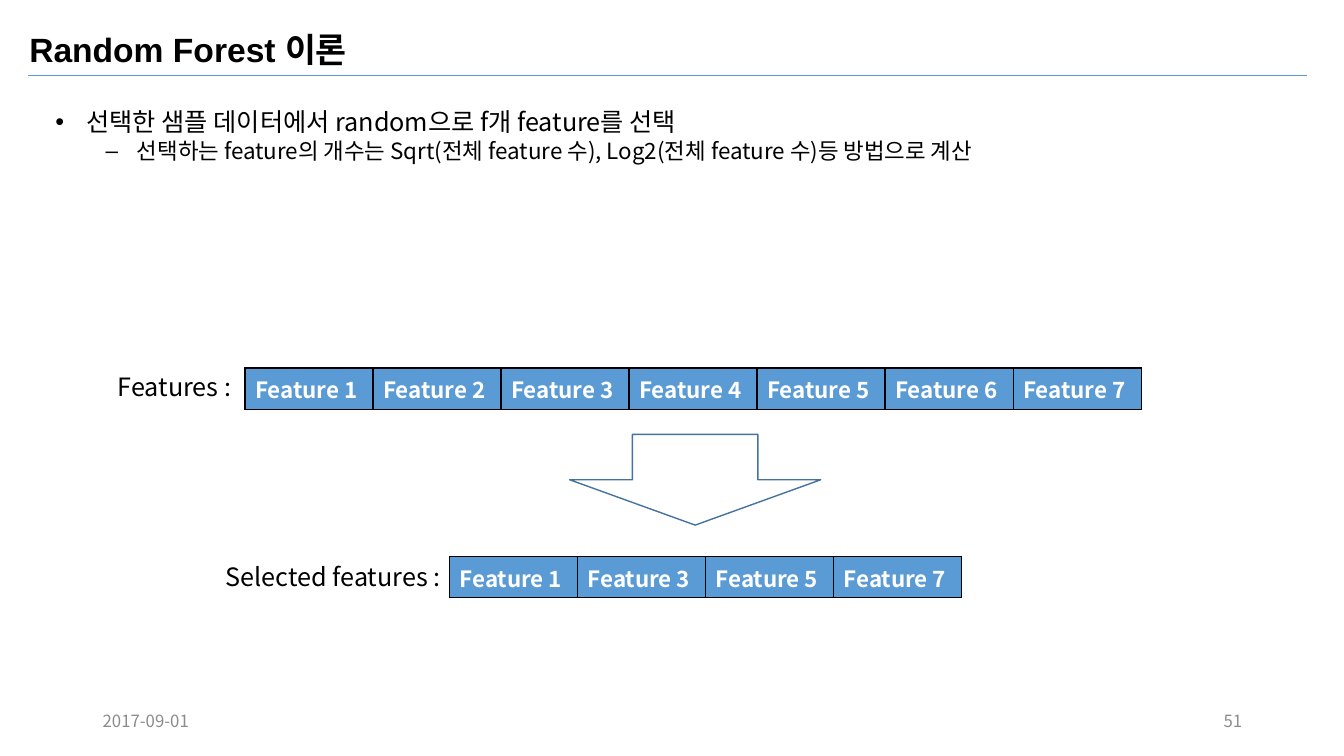
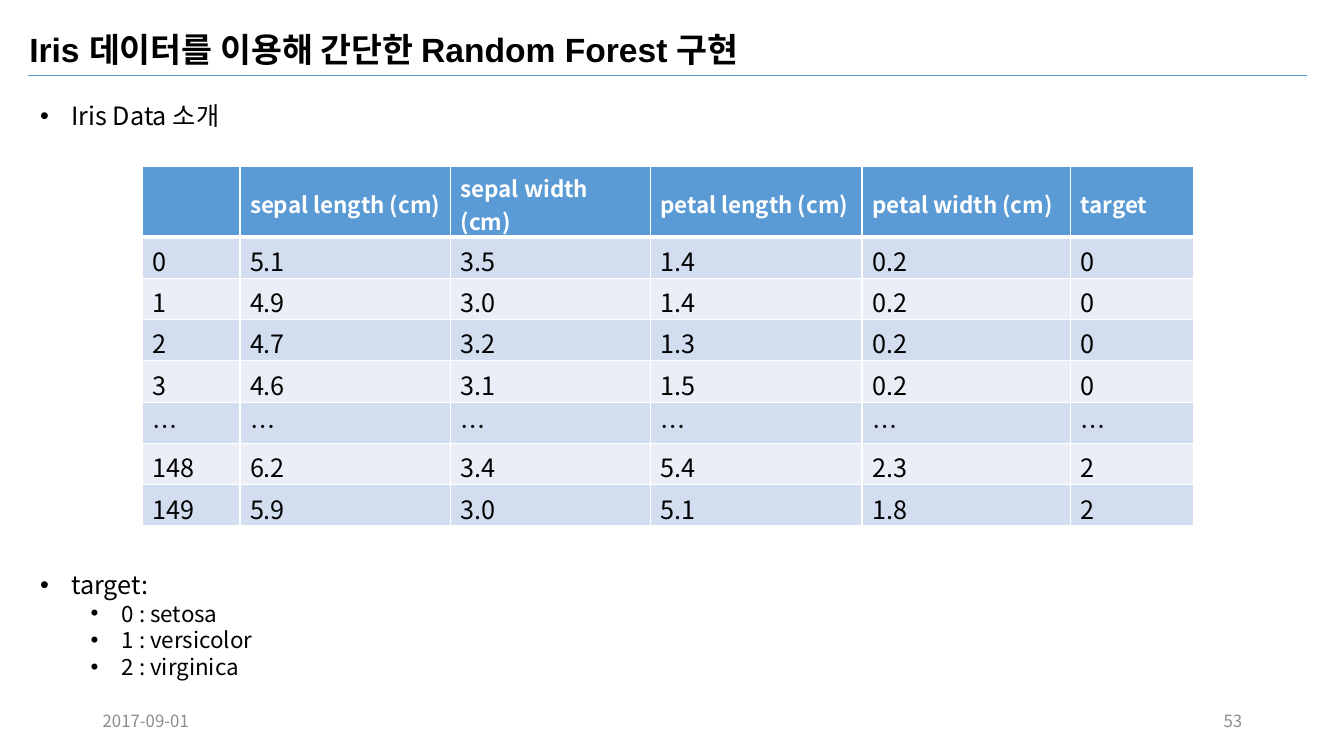
from pptx import Presentation
from pptx.dml.color import RGBColor
from pptx.enum.shapes import MSO_CONNECTOR, MSO_SHAPE
from pptx.enum.text import MSO_ANCHOR, MSO_AUTO_SIZE, PP_ALIGN
from pptx.oxml.ns import qn
from pptx.util import Pt
from lxml import etree

PX = 9144
BLACK = RGBColor(0x00, 0x00, 0x00)
WHITE = RGBColor(0xFF, 0xFF, 0xFF)
GREY = RGBColor(0x8C, 0x8C, 0x8C)
BLUE = RGBColor(0x5B, 0x9B, 0xD5)
NAVY = RGBColor(0x43, 0x73, 0x9E)
BANDS = (RGBColor(0xD2, 0xDE, 0xEF), RGBColor(0xEA, 0xEF, 0xF7))
HEAD = "Arial"
BODY = "Noto Sans CJK KR"
LEFT, RIGHT = PP_ALIGN.LEFT, PP_ALIGN.RIGHT
TOP, MIDDLE = MSO_ANCHOR.TOP, MSO_ANCHOR.MIDDLE
FIXED = MSO_AUTO_SIZE.NONE
ARROW = MSO_SHAPE.DOWN_ARROW
LINE = MSO_CONNECTOR.STRAIGHT
DATE = "2017-09-01"
CELL = 127
ROW = 41
INDENT = 31
STEP = 50


def px(*sizes):
    return [size * PX for size in sizes]


def add_run(para, text, size, color=BLACK, bold=False, face=BODY):
    run = para.add_run()
    run.text = text
    font = run.font
    font.size, font.bold, font.name = Pt(size), bold, face
    font.color.rgb = color
    east = etree.SubElement(run._r.get_or_add_rPr(), qn("a:ea"))
    east.set("typeface", BODY)


def add_box(slide, box, wrap=True, anchor=TOP):
    frame = slide.shapes.add_textbox(*px(*box)).text_frame
    frame.word_wrap = wrap
    frame.vertical_anchor = anchor
    return frame


def add_label(slide, box, text, size=18, color=BLACK, align=LEFT, anchor=TOP, wrap=False):
    para = add_box(slide, box, wrap, anchor).paragraphs[0]
    para.alignment = align
    add_run(para, text, size, color)


def add_list(slide, box, items, marks="••", wrap=True):
    frame = add_box(slide, box, wrap)
    for at, (level, text) in enumerate(items):
        para = frame.add_paragraph() if at else frame.paragraphs[0]
        para.level = level
        props = para._p.get_or_add_pPr()
        props.set("marL", str((INDENT + STEP * level) * PX))
        props.set("indent", str(-INDENT * PX))
        etree.SubElement(props, qn("a:buFont")).set("typeface", HEAD)
        etree.SubElement(props, qn("a:buChar")).set("char", marks[level])
        add_run(para, text, 18 - 2 * level)


def set_edge(cell, side, color, width):
    props = cell._tc.get_or_add_tcPr()
    edge = etree.Element(qn("a:ln" + side), w=str(Pt(width)))
    fill = etree.SubElement(edge, qn("a:solidFill"))
    etree.SubElement(fill, qn("a:srgbClr")).set("val", str(color))
    props.insert("LRTB".index(side), edge)


def add_grid(slide, left, top, cols, rows, data, edge, anchor=TOP):
    box = px(left, top, sum(cols), sum(rows))
    table = slide.shapes.add_table(len(rows), len(cols), *box).table
    for col, width in zip(table.columns, px(*cols)):
        col.width = width
    for y, (height, texts) in enumerate(zip(px(*rows), data)):
        table.rows[y].height = height
        for x, text in enumerate(texts):
            cell = table.cell(y, x)
            cell.vertical_anchor = anchor
            cell.margin_top, cell.margin_bottom = px(5, 0)
            cell.fill.solid()
            cell.fill.fore_color.rgb = BANDS[(y - 1) % 2] if y else BLUE
            for side in "LRTB":
                thick = len(rows) > 1 and (y, side) in ((0, "B"), (1, "T"))
                set_edge(cell, side, edge, 3 if thick else 1)
            if text:
                look = (18, BLACK) if y else (16, WHITE, True)
                add_run(cell.text_frame.paragraphs[0], text, *look)


def add_strip(slide, left, top, picks):
    names = [f"Feature {pick}" for pick in picks]
    add_grid(slide, left, top, [CELL] * len(names), [ROW], [names], BLACK)


def add_arrow(slide, box):
    arrow = slide.shapes.add_shape(ARROW, *px(*box))
    arrow.shadow.inherit = False
    arrow.fill.background()
    arrow.line.color.rgb = NAVY
    arrow.line.width = Pt(1)


def add_rule(slide):
    rule = slide.shapes.add_connector(LINE, *px(28, 75, 1296, 75))
    rule.line.color.rgb = BLUE
    rule.line.width = Pt(0.5)
    etree.SubElement(rule._element.spPr, qn("a:effectLst"))


def add_page(deck, text, page):
    slide = deck.slides.add_slide(deck.slide_layouts[5])
    add_rule(slide)
    title = slide.shapes.title
    title.left, title.top, title.width, title.height = px(19, 24, 1333, 50)
    frame = title.text_frame
    frame.auto_size = FIXED
    frame.vertical_anchor = TOP
    para = frame.paragraphs[0]
    para.alignment = LEFT
    add_run(para, text, 24, bold=True, face=HEAD)
    for left, note, align in ((92, DATE, LEFT), (942, page, RIGHT)):
        add_label(slide, (left, 695, 300, 40), note, 12, GREY, align, MIDDLE, True)
    return slide


def add_theory(deck):
    slide = add_page(deck, "Random Forest 이론", "51")
    add_list(slide, (45, 101, 1219, 67), (
        (0, "선택한 샘플 데이터에서 random으로 f개 feature를 선택"),
        (1, "선택하는 feature의 개수는 Sqrt(전체 feature 수), Log2(전체 feature 수)등 방법으로 계산"),
    ), "•–")
    add_label(slide, (107, 363, 139, 40), "Features :")
    add_strip(slide, 243, 365, range(1, 8))
    add_arrow(slide, (565, 431, 249, 90))
    add_label(slide, (214, 552, 240, 40), "Selected features :")
    add_strip(slide, 446, 552, range(1, 8, 2))


def add_iris(deck):
    slide = add_page(deck, "Iris 데이터를 이용해 간단한 Random Forest 구현", "53")
    add_list(slide, (30, 95, 1265, 40), [(0, "Iris Data 소개")])
    data = (
        ("", "sepal length (cm)", "sepal width (cm)",
         "petal length (cm)", "petal width (cm)", "target"),
        ("0", "5.1", "3.5", "1.4", "0.2", "0"),
        ("1", "4.9", "3.0", "1.4", "0.2", "0"),
        ("2", "4.7", "3.2", "1.3", "0.2", "0"),
        ("3", "4.6", "3.1", "1.5", "0.2", "0"),
        ("…",) * 6,
        ("148", "6.2", "3.4", "5.4", "2.3", "2"),
        ("149", "5.9", "3.0", "5.1", "1.8", "2"),
    )
    cols = (97, 209, 198, 210, 207, 122)
    add_grid(slide, 141, 165, cols, [70] + [ROW] * 7, data, WHITE, MIDDLE)
    add_list(slide, (30, 560, 233, 148), (
        (0, "target:"), (1, "0 : setosa"), (1, "1 : versicolor"), (1, "2 : virginica"),
    ), wrap=False)


def main():
    deck = Presentation()
    deck.slide_width, deck.slide_height = px(1333, 750)
    add_theory(deck)
    add_iris(deck)
    deck.save("out.pptx")


if __name__ == "__main__":
    main()
